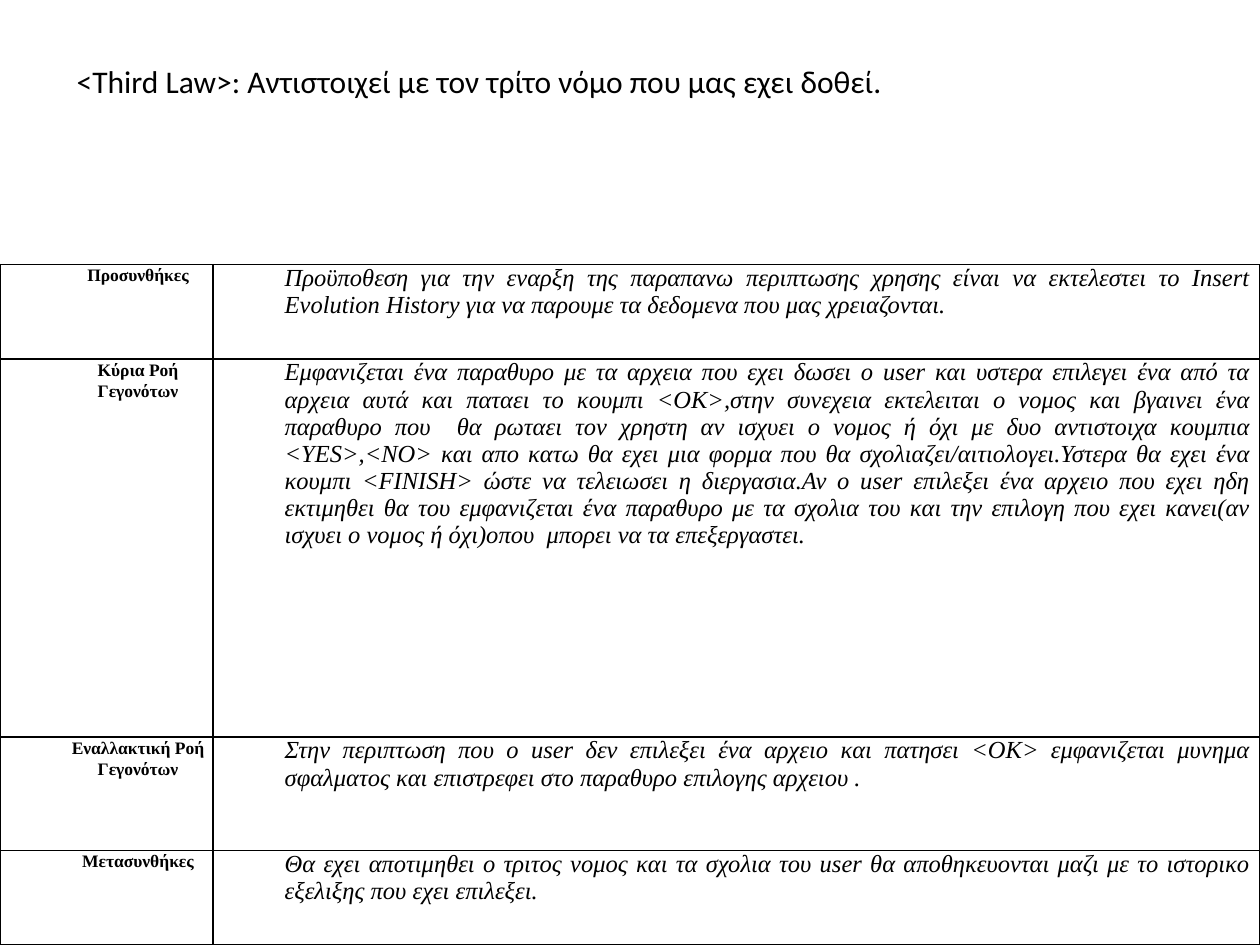
from lxml import etree
from pptx import Presentation
from pptx import util as u
from pptx.dml.color import RGBColor
from pptx.enum import text
from pptx.oxml.ns import qn

BLACK = "000000"
COLUMN_WIDTHS = [1.69, 8.31]
ROW_HEIGHTS = [0.75, 3, 0.9, 0.75]
TITLE = "<Third Law>: Αντιστοιχεί με τον τρίτο νόμο που μας εχει δοθεί."
USE_CASE = [
    ("Προσυνθήκες",
     "Προϋποθεση για την εναρξη της παραπανω περιπτωσης χρησης είναι να "
     "εκτελεστει το Insert Evolution History για να παρουμε τα δεδομενα που "
     "μας χρειαζονται."),
    ("Κύρια Ροή Γεγονότων",
     "Εμφανιζεται ένα παραθυρο με τα αρχεια που εχει δωσει ο user και υστερα "
     "επιλεγει ένα από τα αρχεια αυτά και παταει το κουμπι <ΟΚ>,στην συνεχεια "
     "εκτελειται ο νομος και βγαινει ένα παραθυρο που  θα ρωταει τον χρηστη αν "
     "ισχυει ο νομος ή όχι με δυο αντιστοιχα κουμπια <YES>,<NO> και απο κατω "
     "θα εχει μια φορμα που θα σχολιαζει/αιτιολογει.Υστερα θα εχει ένα κουμπι "
     "<FINISH> ώστε να τελειωσει η διεργασια.Αν ο user επιλεξει ένα αρχειο που "
     "εχει ηδη εκτιμηθει θα του εμφανιζεται ένα παραθυρο με τα σχολια του και "
     "την επιλογη που εχει κανει(αν ισχυει ο νομος ή όχι)οπου  μπορει να τα "
     "επεξεργαστει."),
    ("Εναλλακτική Ροή Γεγονότων",
     "Στην περιπτωση που ο user δεν επιλεξει ένα αρχειο και πατησει <ΟΚ> "
     "εμφανιζεται μυνημα σφαλματος και επιστρεφει στο παραθυρο επιλογης "
     "αρχειου ."),
    ("Μετασυνθήκες",
     "Θα εχει αποτιμηθει ο τριτος νομος και τα σχολια του user θα "
     "αποθηκευονται μαζι με το ιστορικο εξελιξης που εχει επιλεξει."),
]

# Formats of the label column and the description column
CELL_FORMATS = [
    {"paragraph": {"alignment": text.PP_ALIGN.CENTER, "space_after": u.Pt(6),
                   "line_spacing": u.Pt(12)},
     "font": {"name": "Times New Roman", "size": u.Pt(10), "bold": True}},
    {"paragraph": {"alignment": text.PP_ALIGN.JUSTIFY, "space_after": u.Pt(6)},
     "font": {"name": "Times New Roman", "size": u.Pt(14), "bold": False,
              "italic": True}},
]
CELL_MARGINS = {"margin_left": u.Inches(0.07), "margin_right": u.Inches(0.07),
                "margin_top": 0, "margin_bottom": 0}


def color(hex_value):
    return RGBColor.from_string(hex_value)


def set_attributes(target, values):
    for name, value in values.items():
        setattr(target, name, value)


def write_text(paragraph, content, font_values):
    run = paragraph.add_run()
    run.text = content
    set_attributes(run.font, font_values)
    run.font.color.rgb = color(BLACK)


def add_borders(cell, hex_value, width):
    properties = cell._tc.get_or_add_tcPr()
    for index, side in enumerate(["lnL", "lnR", "lnT", "lnB"]):
        line = etree.Element(qn(f"a:{side}"), w=str(u.Pt(width)))
        fill = etree.SubElement(line, qn("a:solidFill"))
        etree.SubElement(fill, qn("a:srgbClr"), val=hex_value)
        properties.insert(index, line)


def fill_cell(cell, content, cell_format):
    set_attributes(cell, CELL_MARGINS)
    cell.fill.background()
    add_borders(cell, BLACK, 1)
    paragraph = cell.text_frame.paragraphs[0]
    set_attributes(paragraph, cell_format["paragraph"])
    indent = paragraph._p.get_or_add_pPr()
    indent.set("marL", str(u.Inches(0.5)))
    indent.set("indent", "0")
    write_text(paragraph, content, cell_format["font"])


def add_use_case_table(slide, left, top, width, height):
    frame = slide.shapes.add_table(
        len(USE_CASE), len(COLUMN_WIDTHS), u.Inches(left), u.Inches(top),
        u.Inches(width), u.Inches(height))
    table = frame.table
    set_attributes(table, {"first_row": False, "horz_banding": False})
    for column, share in zip(table.columns, COLUMN_WIDTHS):
        column.width = u.Inches(width * share / sum(COLUMN_WIDTHS))
    for row, share, contents in zip(table.rows, ROW_HEIGHTS, USE_CASE):
        row.height = u.Inches(height * share / sum(ROW_HEIGHTS))
        for cell, content, cell_format in zip(row.cells, contents, CELL_FORMATS):
            fill_cell(cell, content, cell_format)


def add_title(slide, left, top, width, height):
    box = slide.shapes.add_textbox(u.Inches(left), u.Inches(top),
                                   u.Inches(width), u.Inches(height))
    set_attributes(box.text_frame, {
        "word_wrap": True, "auto_size": text.MSO_AUTO_SIZE.SHAPE_TO_FIT_TEXT})
    write_text(box.text_frame.paragraphs[0], TITLE,
               {"name": "Calibri", "size": u.Pt(18)})


def main():
    presentation = Presentation()
    presentation.slide_width = u.Inches(10)
    presentation.slide_height = u.Inches(7.5)
    slide = presentation.slides.add_slide(presentation.slide_layouts[6])
    # Use case description
    add_use_case_table(slide, 0, 2.1, 10, 5.4)
    # Name of the use case
    add_title(slide, 0.51, 0.44, 8.82, 0.4)
    presentation.save("out.pptx")


if __name__ == "__main__":
    main()
